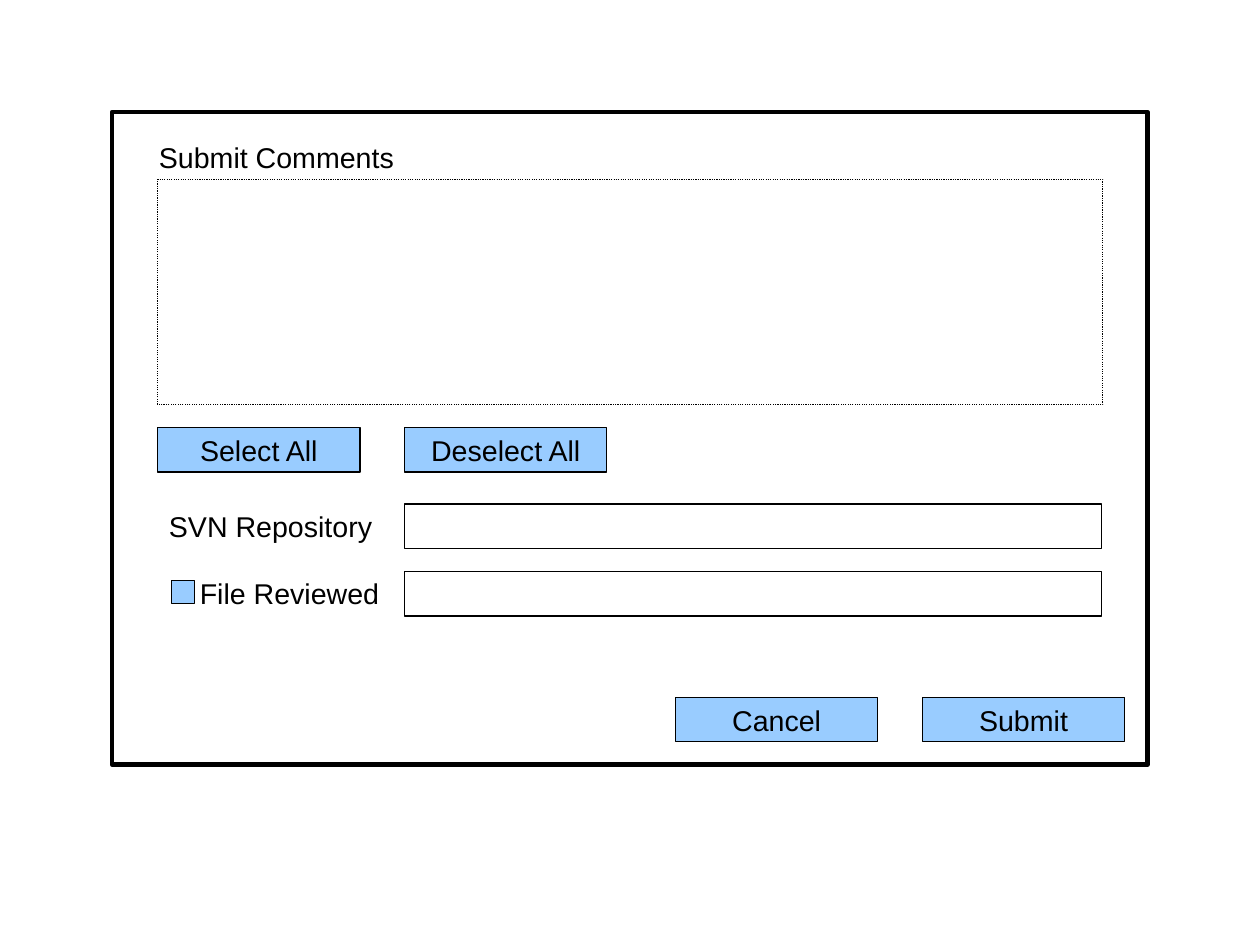
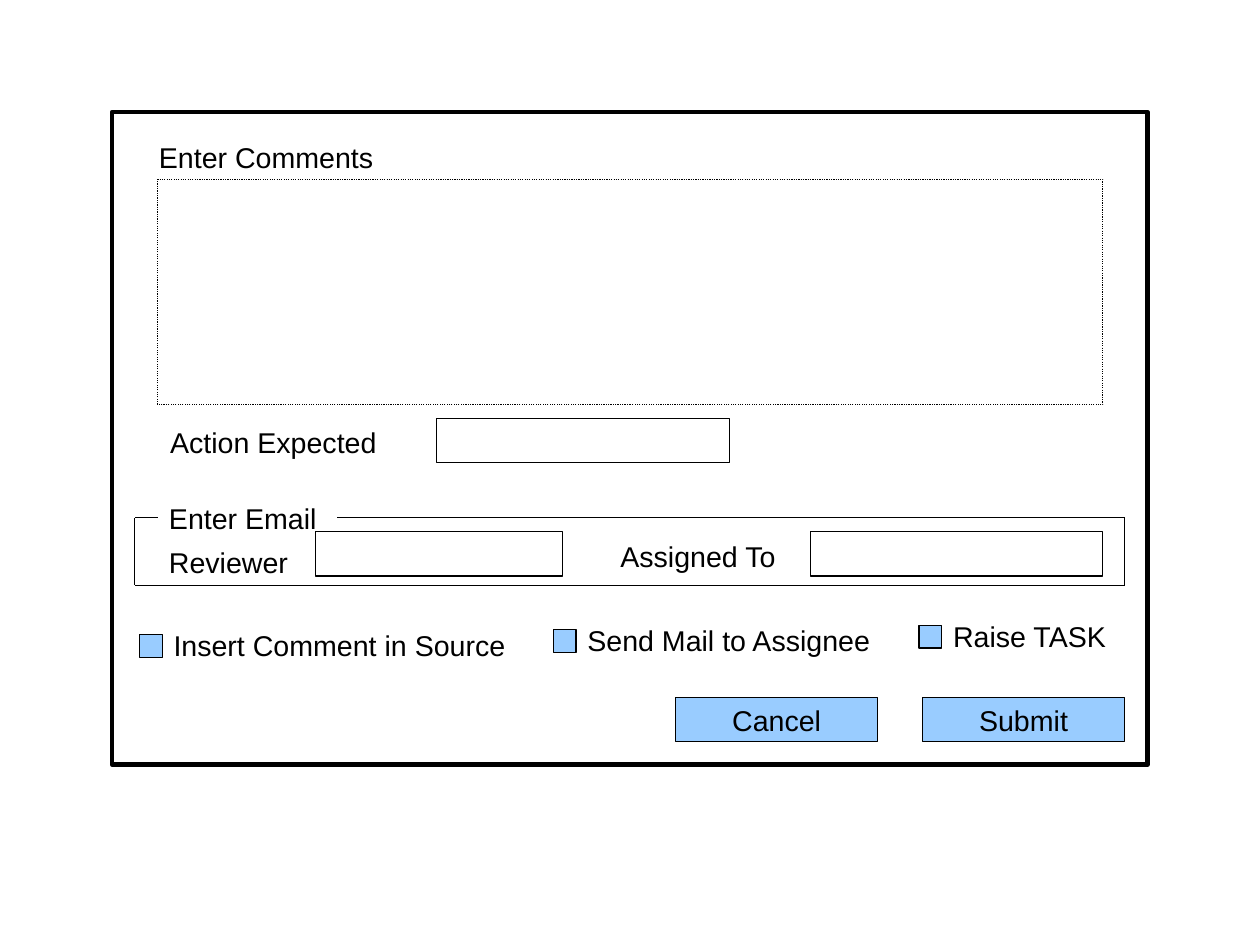
from itertools import pairwise

from lxml import etree
from pptx import Presentation
from pptx.dml.color import RGBColor
from pptx.enum.dml import MSO_LINE
from pptx.enum.shapes import MSO_CONNECTOR, MSO_SHAPE
from pptx.enum.text import MSO_ANCHOR, MSO_AUTO_SIZE, PP_ALIGN
from pptx.oxml.ns import qn
from pptx.util import Cm, Inches, Pt

RECTANGLE = MSO_SHAPE.RECTANGLE
STRAIGHT = MSO_CONNECTOR.STRAIGHT
DOTTED = MSO_LINE.ROUND_DOT
TOP, MIDDLE = MSO_ANCHOR.TOP, MSO_ANCHOR.MIDDLE
LEFT, CENTER = PP_ALIGN.LEFT, PP_ALIGN.CENTER
NO_AUTOFIT = MSO_AUTO_SIZE.NONE

BLACK, BLUE = "000000", "99CCFF"
FONT, TEXT_SIZE = "Arial", 18
THIN, THICK = 0.75, 2.83
ROW_HEIGHT, LABEL_HEIGHT = 0.39, 0.41
BUTTON_WIDTH, BUTTON_PITCH = 1.77, 2.16
CHECK_SIZE = 0.2
MARGIN = 1.38
TITLE_ONLY = 5


def color(hex_code):
    """Turn a hex string into a colour."""
    return RGBColor.from_string(hex_code)


def write(holder, text, align=LEFT, anchor=TOP):
    """Write one unwrapped line in the shared text style."""
    frame = holder.text_frame
    frame.text = text
    frame.word_wrap = False
    frame.auto_size = NO_AUTOFIT
    frame.vertical_anchor = anchor
    paragraph = frame.paragraphs[0]
    paragraph.alignment = align
    paragraph.line_spacing = 1.04
    paragraph.font.name = FONT
    paragraph.font.size = Pt(TEXT_SIZE)
    paragraph.font.color.rgb = color(BLACK)


def add_box(shapes, left, top, width, height=ROW_HEIGHT, fill=None, weight=THIN):
    """Add an outlined rectangle, hollow unless a fill is given."""
    box = shapes.add_shape(RECTANGLE, Inches(left), Inches(top), Inches(width), Inches(height))
    box.shadow.inherit = False
    if fill:
        box.fill.solid()
        box.fill.fore_color.rgb = color(fill)
    else:
        box.fill.background()
    box.line.color.rgb = color(BLACK)
    box.line.width = Pt(weight)
    return box


def add_label(shapes, text, left, top, width):
    """Add a field label."""
    label = shapes.add_textbox(Inches(left), Inches(top), Inches(width), Inches(LABEL_HEIGHT))
    write(label, text)


def add_buttons(shapes, captions, left, top):
    """Add a row of evenly spaced buttons."""
    for index, caption in enumerate(captions):
        button = add_box(shapes, left + index * BUTTON_PITCH, top, BUTTON_WIDTH, fill=BLUE)
        write(button, caption, CENTER, MIDDLE)


def add_checkbox(shapes, text, left, top, width, gap=0.2, rise=0.12):
    """Add a check square grouped with its label."""
    members = shapes.add_group_shape().shapes
    add_box(members, left, top, CHECK_SIZE, CHECK_SIZE, BLUE)
    add_label(members, text, left + gap, top - rise, width)


def add_outline(shapes, points):
    """Join points with straight lines."""
    for start, end in pairwise(points):
        edge = shapes.add_connector(STRAIGHT, *map(Inches, start + end))
        edge.line.color.rgb = color(BLACK)
        edge.line.width = Pt(THIN)
        etree.SubElement(edge.element.spPr, qn("a:effectLst"))


def add_dialog(deck, title):
    """Add a slide with the shared dialog frame and return its shapes."""
    shapes = deck.slides.add_slide(deck.slide_layouts[TITLE_ONLY]).shapes
    heading = shapes.title
    heading.left, heading.top = Inches(1.29), Inches(1.16)
    heading.width, heading.height = Inches(2.5), Inches(LABEL_HEIGHT)
    write(heading, title)
    add_box(shapes, 0.98, 0.98, 9.06, 5.71, weight=THICK)
    comments = add_box(shapes, MARGIN, 1.57, 8.27, 1.97)
    comments.line.dash_style = DOTTED
    add_buttons(shapes, ["Cancel", "Submit"], 5.91, 6.1)
    return shapes


def build_submit_dialog(deck):
    """Build the dialog for submitting reviewed files."""
    shapes = add_dialog(deck, "Submit Comments")
    add_buttons(shapes, ["Select All", "Deselect All"], MARGIN, 3.74)
    add_label(shapes, "SVN Repository", MARGIN, 4.39, 1.97)
    add_checkbox(shapes, "File Reviewed", 1.5, 5.08, 1.76, gap=0.15, rise=0.1)
    for field_top in (4.41, 5):
        add_box(shapes, MARGIN + BUTTON_PITCH, field_top, 6.1)


def build_comment_dialog(deck):
    """Build the dialog for entering a review comment."""
    shapes = add_dialog(deck, "Enter Comments")
    for text, left, top, width in [
        ("Action Expected", 1.39, 3.66, 2),
        ("Enter Email", MARGIN, 4.32, 1.49),
        ("Reviewer", MARGIN, 4.71, 1.23),
        ("Assigned To", 5.33, 4.65, 1.56),
    ]:
        add_label(shapes, text, left, top, width)
    for left, top, width in [(3.82, 3.66, 2.56), (2.76, 4.65, 2.16), (7.09, 4.65, 2.56)]:
        add_box(shapes, left, top, width)
    add_outline(shapes, [(MARGIN, 4.53), (1.18, 4.53), (1.18, 5.12),
                         (9.84, 5.12), (9.84, 4.53), (2.95, 4.53)])
    for text, left, top, width in [
        ("Insert Comment in Source", 1.22, 5.55, 3.1),
        ("Send Mail to Assignee", 4.84, 5.51, 2.68),
        ("Raise TASK", 8.04, 5.47, 1.54),
    ]:
        add_checkbox(shapes, text, left, top, width)


def main():
    """Build and save the two dialog mock-ups."""
    deck = Presentation()
    deck.slide_width, deck.slide_height = Cm(28), Cm(21)
    build_submit_dialog(deck)
    build_comment_dialog(deck)
    deck.save("out.pptx")


if __name__ == "__main__":
    main()
